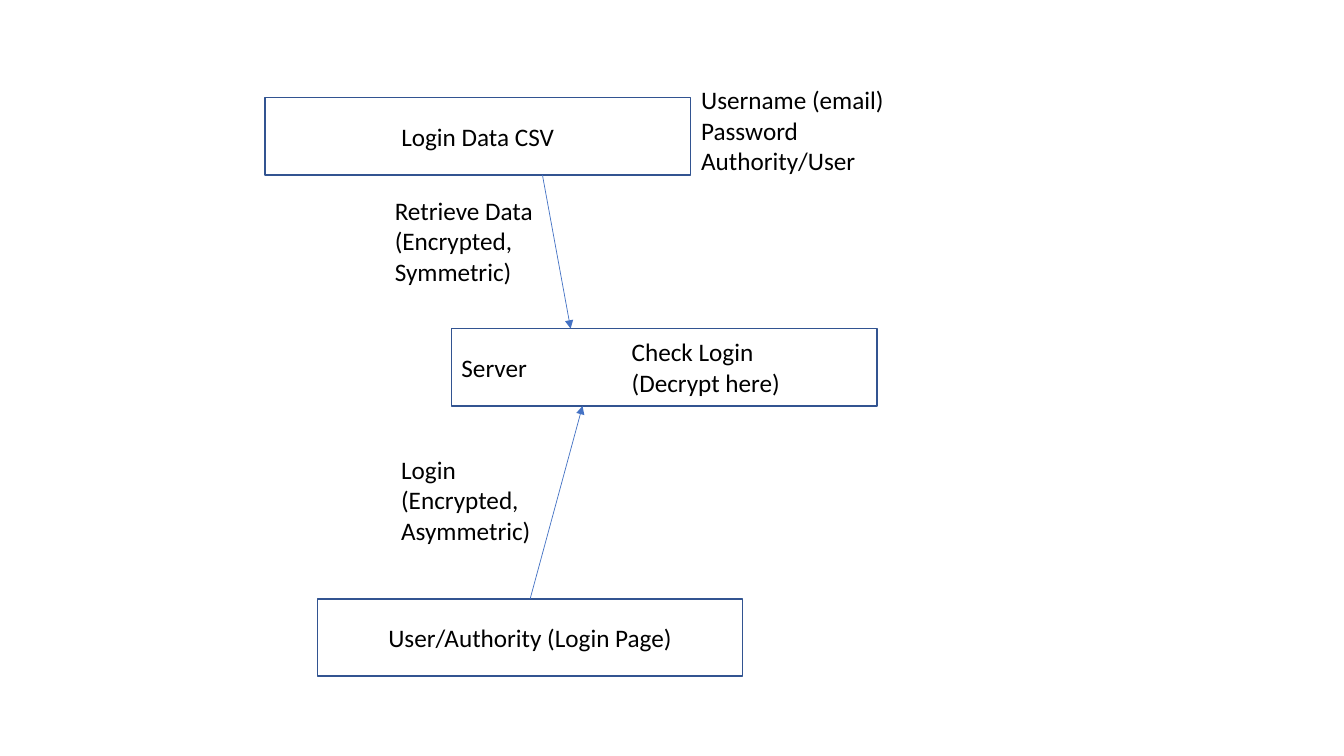
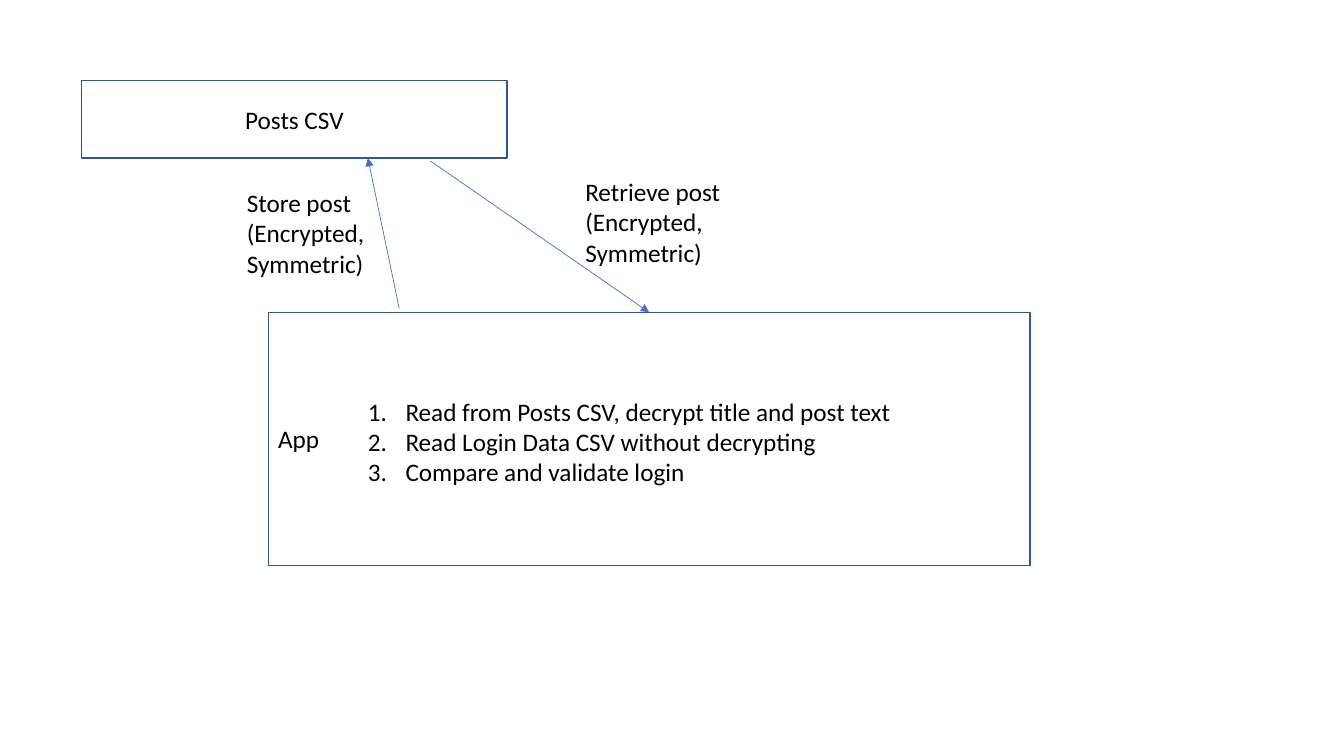
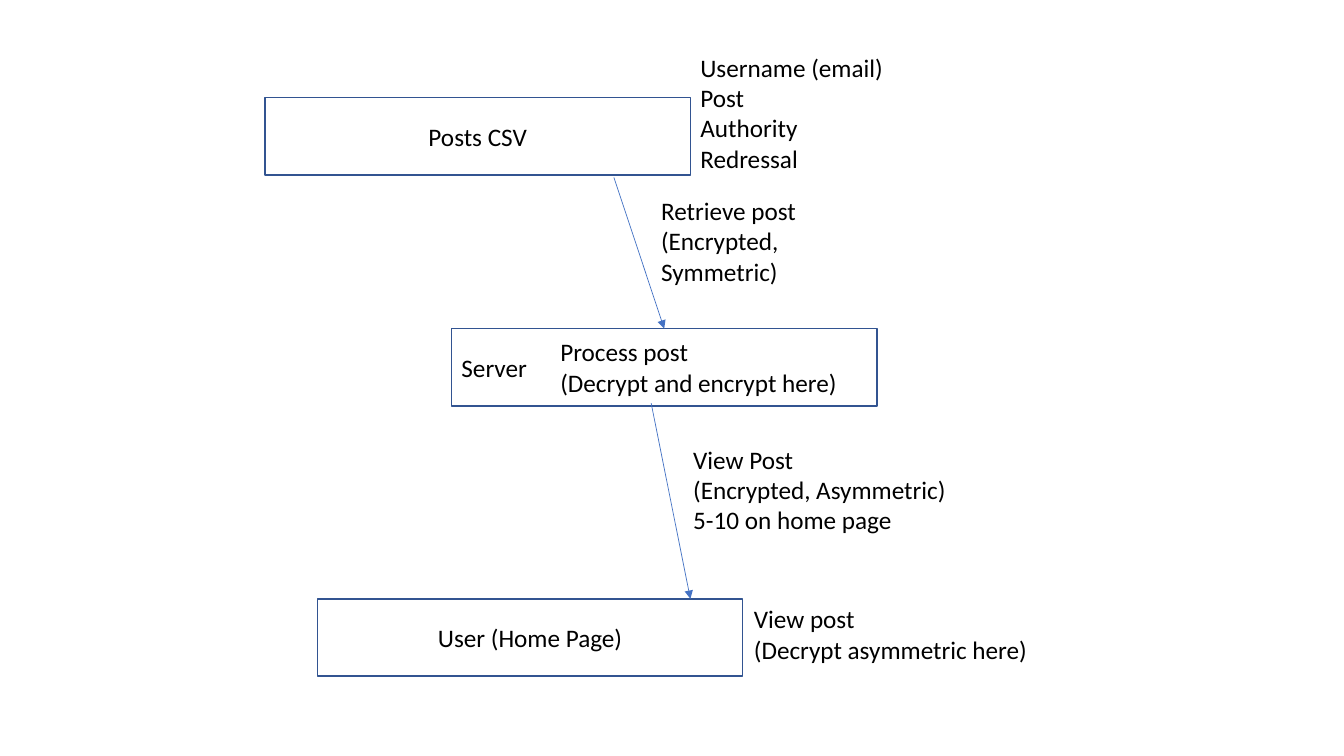
from pptx import Presentation
from pptx.dml.color import RGBColor
from pptx.enum.shapes import MSO_CONNECTOR as Connector, MSO_SHAPE as Shape
from pptx.enum.text import MSO_ANCHOR as Anchor, MSO_AUTO_SIZE as AutoSize, PP_ALIGN as Align
from pptx.oxml.ns import qn
from pptx.util import Cm, Pt
from lxml.etree import SubElement

COLORS = {"paper": "FFFFFF", "ink": "000000", "border": "325491", "arrow": "4472C4"}
FONT = "Calibri"
FONT_SIZE = Pt(18)
NODE_SIZE = (10.72, 1.95)
SOURCE_AT = (6.68, 2.46)
SERVER_AT = (11.38, 8.28)
USER_AT = (8, 15.09)
LINE_HEIGHT = 0.77
TEXT_PADDING = 0.25
NOTE_WIDTH = 5.18
LIST_INDENT = Cm(0.95)


def color(role):
    """Return the palette colour for a role."""
    return RGBColor.from_string(COLORS[role])


def add_run(paragraph, words):
    """Add one run in the shared text style."""
    run = paragraph.add_run()
    run.text = words
    run.font.name = FONT
    run.font.size = FONT_SIZE
    run.font.color.rgb = color("ink")


def write(frame, paragraphs, align=Align.LEFT):
    """Fill a frame with paragraphs, turning newlines into line breaks."""
    for index, text in enumerate(paragraphs):
        paragraph = frame.add_paragraph() if index else frame.paragraphs[0]
        paragraph.alignment = align
        for position, words in enumerate(text.split("\n")):
            if position:
                paragraph.add_line_break()
            add_run(paragraph, words)


def add_node(slide, label, at, size=NODE_SIZE, align=Align.CENTER):
    """Draw an outlined box with a label."""
    node = slide.shapes.add_shape(Shape.RECTANGLE, *map(Cm, at + size))
    node.shadow.inherit = False
    node.fill.solid()
    node.fill.fore_color.rgb = color("paper")
    node.line.color.rgb = color("border")
    node.line.width = Pt(1)
    node.text_frame.word_wrap = True
    node.text_frame.vertical_anchor = Anchor.MIDDLE
    write(node.text_frame, [label], align)


def add_note(slide, paragraphs, at, lines=3, width=NOTE_WIDTH):
    """Place free text tall enough for its lines and return its frame."""
    height = lines * LINE_HEIGHT + TEXT_PADDING
    frame = slide.shapes.add_textbox(*map(Cm, at + (width, height))).text_frame
    frame.word_wrap = True
    frame.auto_size = AutoSize.SHAPE_TO_FIT_TEXT
    write(frame, paragraphs)
    return frame


def add_steps(slide, steps, at, width):
    """Place a numbered list."""
    frame = add_note(slide, steps, at, len(steps), width)
    for paragraph in frame.paragraphs:
        properties = paragraph._p.get_or_add_pPr()
        properties.set("marL", str(LIST_INDENT))
        properties.set("indent", str(-LIST_INDENT))
        SubElement(properties, qn("a:buFont"), typeface="+mj-lt")
        SubElement(properties, qn("a:buAutoNum"), type="arabicPeriod")


def add_arrow(slide, start, end):
    """Draw a thin arrow between two points."""
    arrow = slide.shapes.add_connector(Connector.STRAIGHT, *map(Cm, start + end))
    arrow.line.color.rgb = color("arrow")
    arrow.line.width = Pt(0.5)
    SubElement(arrow.line._get_or_add_ln(), qn("a:tailEnd"), type="triangle")
    SubElement(arrow._element.spPr, qn("a:effectLst"))


def add_server_flow(slide, source, user):
    """Draw the source, server and user boxes of a flow."""
    add_node(slide, "Server", SERVER_AT, align=Align.LEFT)
    add_node(slide, user, USER_AT)
    add_node(slide, source, SOURCE_AT)


def build_login(slide):
    """Show how a login is checked."""
    add_server_flow(slide, "Login Data CSV", "User/Authority (Login Page)")
    add_arrow(slide, (13.36, 15.09), (14.68, 10.23))
    add_note(slide, ["Login\n(Encrypted, Asymmetric)"], (9.86, 11.33), width=4.39)
    add_note(slide, ["Check Login\n(Decrypt here)"], (15.67, 8.36), lines=2, width=4.7)
    add_arrow(slide, (13.67, 4.41), (14.38, 8.28))
    add_note(slide, ["Retrieve Data (Encrypted, Symmetric)"], (9.7, 4.8))
    add_note(slide, ["Username (email)", "Password", "Authority/User"], (17.42, 2.01))


def build_app(slide):
    """Show how the app stores and reads posts."""
    add_node(slide, "App", (6.76, 7.87), (19.2, 6.38), Align.LEFT)
    add_node(slide, "Posts CSV", (2.06, 2.03))
    add_arrow(slide, (10.06, 7.77), (9.27, 3.98))
    add_note(slide, ["Store post (Encrypted, Symmetric)"], (5.97, 4.6))
    add_arrow(slide, (10.85, 4.06), (16.36, 7.87))
    add_note(slide, ["Retrieve post (Encrypted, Symmetric)"], (14.5, 4.32))
    steps = ["Read from Posts CSV, decrypt title and post text",
             "Read Login Data CSV without decrypting",
             "Compare and validate login"]
    add_steps(slide, steps, (9.02, 9.86), 16.94)


def build_home(slide):
    """Show how posts reach the home page."""
    add_server_flow(slide, "Posts CSV", "User (Home Page)")
    add_note(slide, ["View Post\n(Encrypted, Asymmetric)", "5-10 on home page"],
             (17.22, 11.07), width=8.23)
    add_note(slide, ["Process post\n(Decrypt and encrypt here)"], (13.87, 8.36), lines=2, width=8.51)
    add_arrow(slide, (16.41, 10.16), (17.4, 15.09))
    add_note(slide, ["View post\n(Decrypt asymmetric here)"], (18.75, 15.09), lines=2, width=8.51)
    add_arrow(slide, (15.47, 4.47), (16.74, 8.28))
    add_note(slide, ["Retrieve post (Encrypted, Symmetric)"], (16.41, 4.8))
    add_note(slide, ["Username (email)", "Post", "Authority", "Redressal"], (17.4, 1.19), lines=4)


def main():
    """Build and save the presentation."""
    deck = Presentation()
    deck.slide_width, deck.slide_height = Cm(33.87), Cm(19.05)
    blank = deck.slide_layouts[6]
    for build in (build_login, build_app, build_home):
        build(deck.slides.add_slide(blank))
    deck.save("out.pptx")


main()
